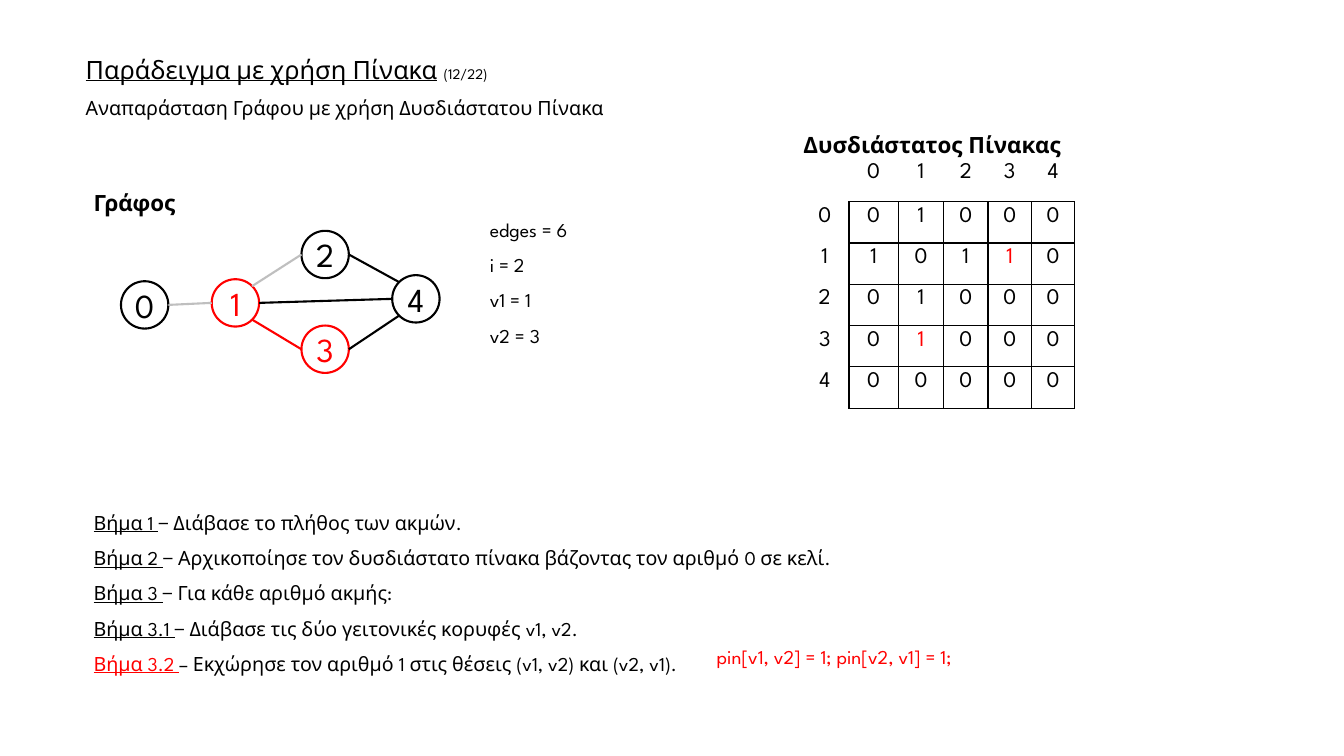
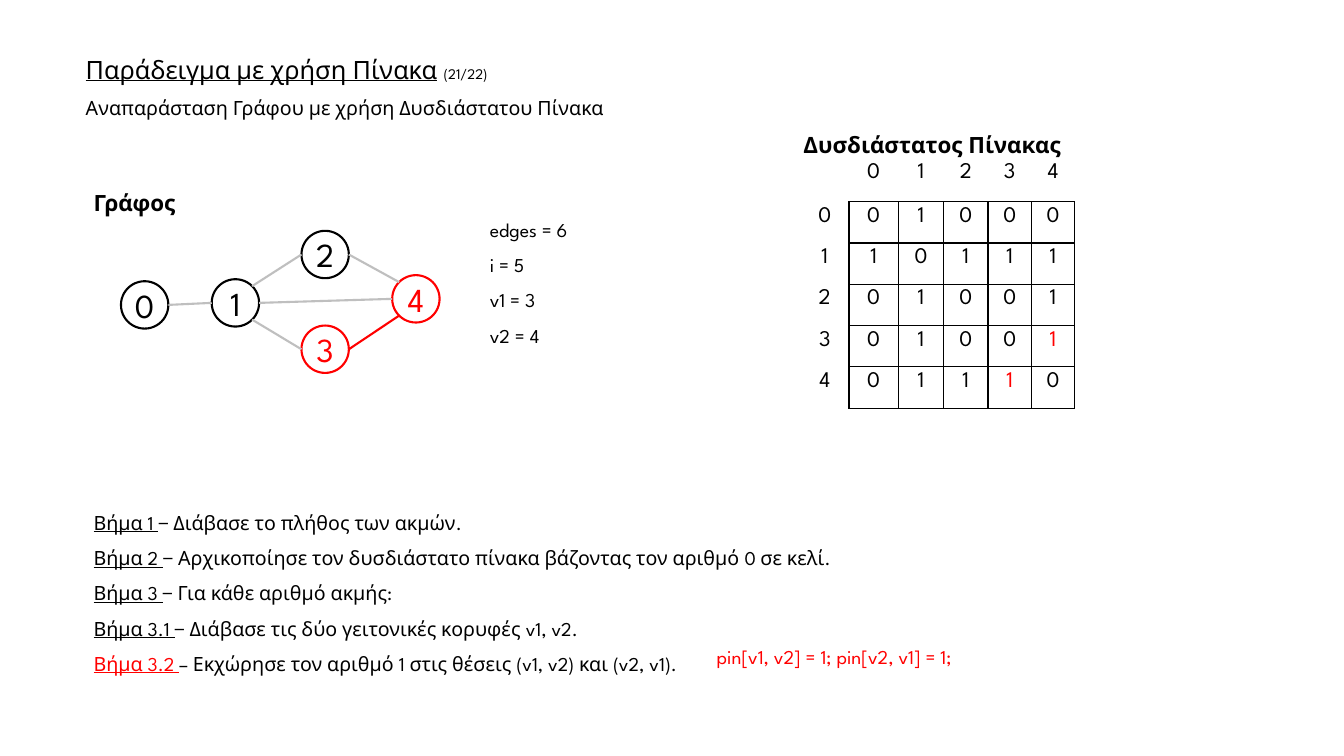
import math
from dataclasses import dataclass

import lxml.etree
import pptx
import pptx.dml.color
import pptx.enum.shapes
import pptx.enum.text
import pptx.oxml.ns
import pptx.util

Inches = pptx.util.Inches
Pt = pptx.util.Pt
qn = pptx.oxml.ns.qn
RGBColor = pptx.dml.color.RGBColor
ALIGN = pptx.enum.text.PP_ALIGN

# Shared look
BLACK = RGBColor(0x00, 0x00, 0x00)
RED = RGBColor(0xFF, 0x00, 0x00)
GREY = RGBColor(0xBF, 0xBF, 0xBF)
FONT = "League Spartan"
LINE_WIDTH = Pt(1.5)
NO_STYLE = "{2D5ABB26-0587-4C30-8999-92F81FD0307C}"


@dataclass
class Run:
    text: str
    size: float = 14
    color: RGBColor = BLACK
    underline: bool = False
    bold: bool = False


@dataclass
class Node:
    """Graph vertex: left and top of its circle, in inches."""
    left: float
    top: float

    def rim(self, angle: float) -> tuple[int, int]:
        """Point on the circle, angle in degrees clockwise from the right."""
        r, a = DIAMETER / 2, math.radians(angle)
        return (Inches(self.left + r + r * math.cos(a)),
                Inches(self.top + r + r * math.sin(a)))


@dataclass
class Edge:
    v1: int
    v2: int
    leave: float
    arrive: float


@dataclass
class Step:
    page: int
    i: int


DIAMETER = 0.47
NODES = [Node(1.2, 2.79), Node(2.1, 2.77), Node(2.99, 2.29),
         Node(2.99, 3.23), Node(3.89, 2.73)]
# In the order in which the algorithm reads them
EDGES = [Edge(0, 1, 0, 180), Edge(1, 2, -45, 180), Edge(1, 3, 45, 180),
         Edge(1, 4, 0, 180), Edge(2, 4, 0, -135), Edge(3, 4, 0, 135)]
COL_WIDTHS = [0.48, 0.49, 0.45, 0.44, 0.43, 0.43]
ROW_HEIGHTS = [0.43] + [0.41] * len(NODES)

ALGORITHM = [
    ("Βήμα 1 ", "− Διάβασε το πλήθος των ακμών."),
    ("Βήμα 2 ", "− Αρχικοποίησε τον δυσδιάστατο πίνακα βάζοντας τον αριθμό 0 σε κελί."),
    ("Βήμα 3 ", "− Για κάθε αριθμό ακμής:"),
    ("Βήμα 3.1 ", "− Διάβασε τις δύο γειτονικές κορυφές v1, v2."),
    ("Βήμα 3.2 ", "– Εκχώρησε τον αριθμό 1 στις θέσεις (v1, v2) και (v2, v1)."),
]
STEPS = [Step(page=12, i=2), Step(page=21, i=5)]


def write(tf, paragraphs: list[list[Run]], align=ALIGN.LEFT,
          spacing: float = 1, gap: float = 0) -> None:
    """Fill a text frame, run by run."""
    for n, runs in enumerate(paragraphs):
        p = tf.add_paragraph() if n else tf.paragraphs[0]
        p.alignment = align
        p.line_spacing = spacing
        p.space_before = Pt(gap if n else 0)
        for item in runs:
            r = p.add_run()
            r.text = item.text
            r.font.name = FONT
            r.font.size = Pt(item.size)
            r.font.color.rgb = item.color
            r.font.underline = item.underline
            r.font.bold = item.bold


def add_text(slide, left: float, top: float, width: float, height: float,
             paragraphs: list[list[Run]], spacing: float = 1, gap: float = 0) -> None:
    tf = slide.shapes.add_textbox(Inches(left), Inches(top),
                                  Inches(width), Inches(height)).text_frame
    tf.word_wrap = True
    write(tf, paragraphs, spacing=spacing, gap=gap)


def add_title(slide, page: int) -> None:
    sp = slide.shapes.title
    sp.left, sp.top = Inches(0.75), Inches(0.52)
    sp.width, sp.height = Inches(11.83), Inches(1.05)
    tf = sp.text_frame
    tf.auto_size = pptx.enum.text.MSO_AUTO_SIZE.NONE
    tf.vertical_anchor = pptx.enum.text.MSO_ANCHOR.TOP
    write(tf, [
        [Run("Παράδειγμα με χρήση Πίνακα", 18, underline=True),
         Run(" ", 18), Run(f"({page}/22)", 10.5)],
        [Run("Αναπαράσταση Γράφου με χρήση Δυσδιάστατου Πίνακα")],
    ], spacing=0.9, gap=10)


def add_graph(slide, i: int) -> None:
    """Edges already read are grey, the current edge and its ends red."""
    current = EDGES[i]
    for n, node in enumerate(NODES):
        color = RED if n in (current.v1, current.v2) else BLACK
        sp = slide.shapes.add_shape(
            pptx.enum.shapes.MSO_SHAPE.OVAL, Inches(node.left), Inches(node.top),
            Inches(DIAMETER), Inches(DIAMETER))
        sp.shadow.inherit = False
        sp.fill.background()
        sp.line.color.rgb = color
        sp.line.width = LINE_WIDTH
        tf = sp.text_frame
        tf.margin_left = tf.margin_right = tf.margin_top = tf.margin_bottom = 0
        tf.word_wrap = False
        tf.vertical_anchor = pptx.enum.text.MSO_ANCHOR.MIDDLE
        write(tf, [[Run(str(n), 24, color)]], ALIGN.CENTER)

    for n, edge in enumerate(EDGES):
        line = slide.shapes.add_connector(
            pptx.enum.shapes.MSO_CONNECTOR.STRAIGHT,
            *NODES[edge.v1].rim(edge.leave), *NODES[edge.v2].rim(edge.arrive))
        line.line.color.rgb = GREY if n < i else RED if n == i else BLACK
        line.line.width = LINE_WIDTH
        lxml.etree.SubElement(line._element.spPr, qn("a:effectLst"))


def set_borders(cell, sides: str) -> None:
    """Black 1 pt lines on the given sides, out of L, R, T and B."""
    tc_pr = cell._tc.get_or_add_tcPr()
    for side in sides:
        ln = lxml.etree.SubElement(tc_pr, qn(f"a:ln{side}"), w=str(Pt(1)))
        fill = lxml.etree.SubElement(ln, qn("a:solidFill"))
        lxml.etree.SubElement(fill, qn("a:srgbClr"), val=str(BLACK))


def add_matrix(slide, i: int) -> None:
    """Adjacency matrix after edge i, with that edge's two cells in red."""
    size = len(NODES)
    table = slide.shapes.add_table(
        size + 1, size + 1, Inches(7.94), Inches(1.57),
        Inches(sum(COL_WIDTHS)), Inches(sum(ROW_HEIGHTS))).table
    table.first_row = table.horz_banding = False
    table._tbl.tblPr.find(qn("a:tableStyleId")).text = NO_STYLE
    for col, width in zip(table.columns, COL_WIDTHS):
        col.width = Inches(width)
    for row, height in zip(table.rows, ROW_HEIGHTS):
        row.height = Inches(height)

    pairs = [{(e.v1, e.v2), (e.v2, e.v1)} for e in EDGES[:i + 1]]
    filled = set().union(*pairs)
    for r in range(size + 1):
        for c in range(size + 1):
            cell, key = table.cell(r, c), (r - 1, c - 1)
            if r and c:
                text, sides = str(int(key in filled)), "LRTB"
            elif r:
                text, sides = str(r - 1), "R"
            elif c:
                text, sides = str(c - 1), "B"
            else:
                text, sides = "", ""
            set_borders(cell, sides)
            cell.fill.background()
            if text:
                color = RED if key in pairs[-1] else BLACK
                write(cell.text_frame, [[Run(text, 16, color)]], ALIGN.CENTER)


def add_algorithm(slide) -> None:
    last = len(ALGORITHM) - 1
    add_text(slide, 0.83, 4.9, 12.35, 1.82, [
        [Run(label, color=RED if n == last else BLACK, underline=True), Run(text)]
        for n, (label, text) in enumerate(ALGORITHM)], spacing=1.5)
    add_text(slide, 7.01, 6.37, 3.95, 0.39,
             [[Run("pin[v1, v2] = 1; pin[v2, v1] = 1;", color=RED)]], spacing=0.9)


def add_variables(slide, i: int) -> None:
    edge = EDGES[i]
    lines = [f"edges = {len(EDGES)}", f"i = {i}", f"v1 = {edge.v1}", f"v2 = {edge.v2}"]
    add_text(slide, 4.76, 2.14, 2.22, 1.53, [[Run(t)] for t in lines],
             spacing=0.9, gap=10)


def add_step(prs, step: Step) -> None:
    slide = prs.slides.add_slide(prs.slide_layouts[5])
    add_title(slide, step.page)
    add_graph(slide, step.i)
    add_text(slide, 0.83, 1.83, 1.08, 0.37, [[Run("Γράφος", 16, bold=True)]])
    add_text(slide, 7.87, 1.25, 3.25, 0.37,
             [[Run("Δυσδιάστατος Πίνακας", 16, bold=True)]])
    add_matrix(slide, step.i)
    add_algorithm(slide)
    add_variables(slide, step.i)


def main() -> None:
    prs = pptx.Presentation()
    prs.slide_width, prs.slide_height = Inches(13.33), Inches(7.5)
    for step in STEPS:
        add_step(prs, step)
    prs.save("out.pptx")


if __name__ == "__main__":
    main()
